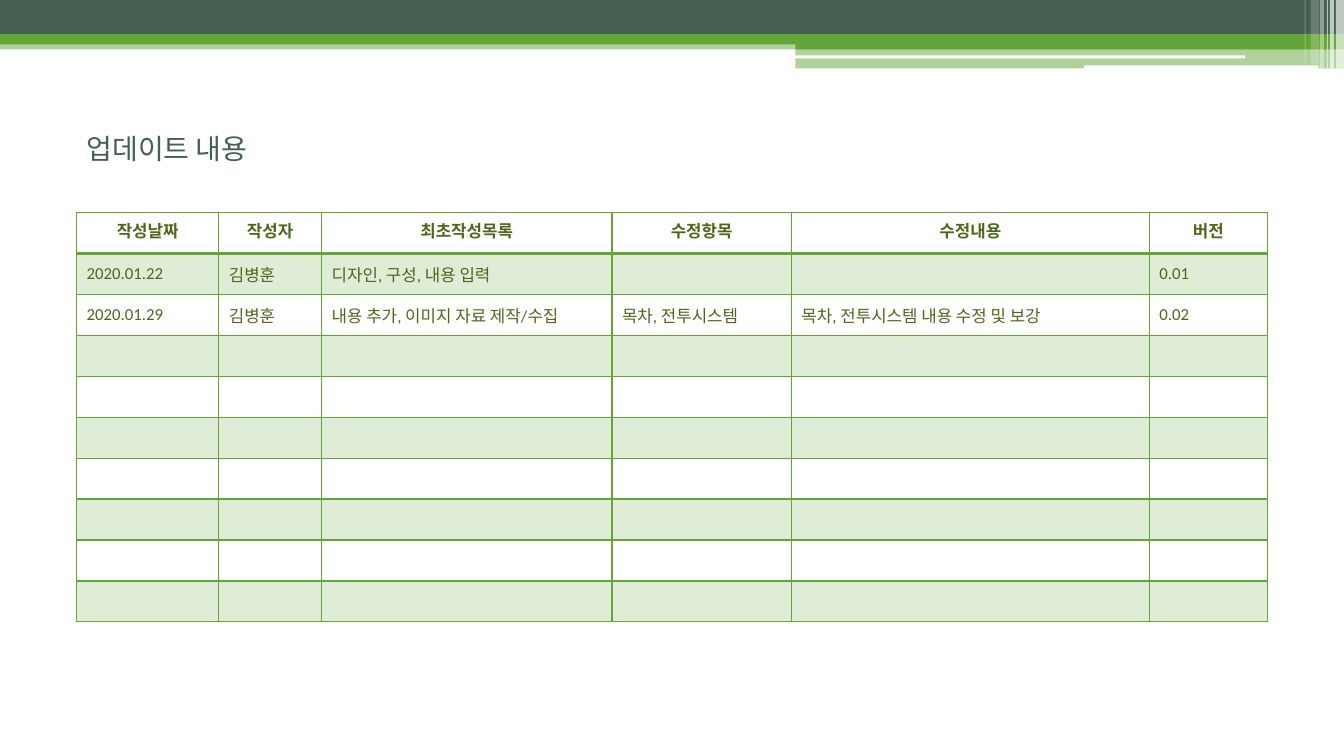
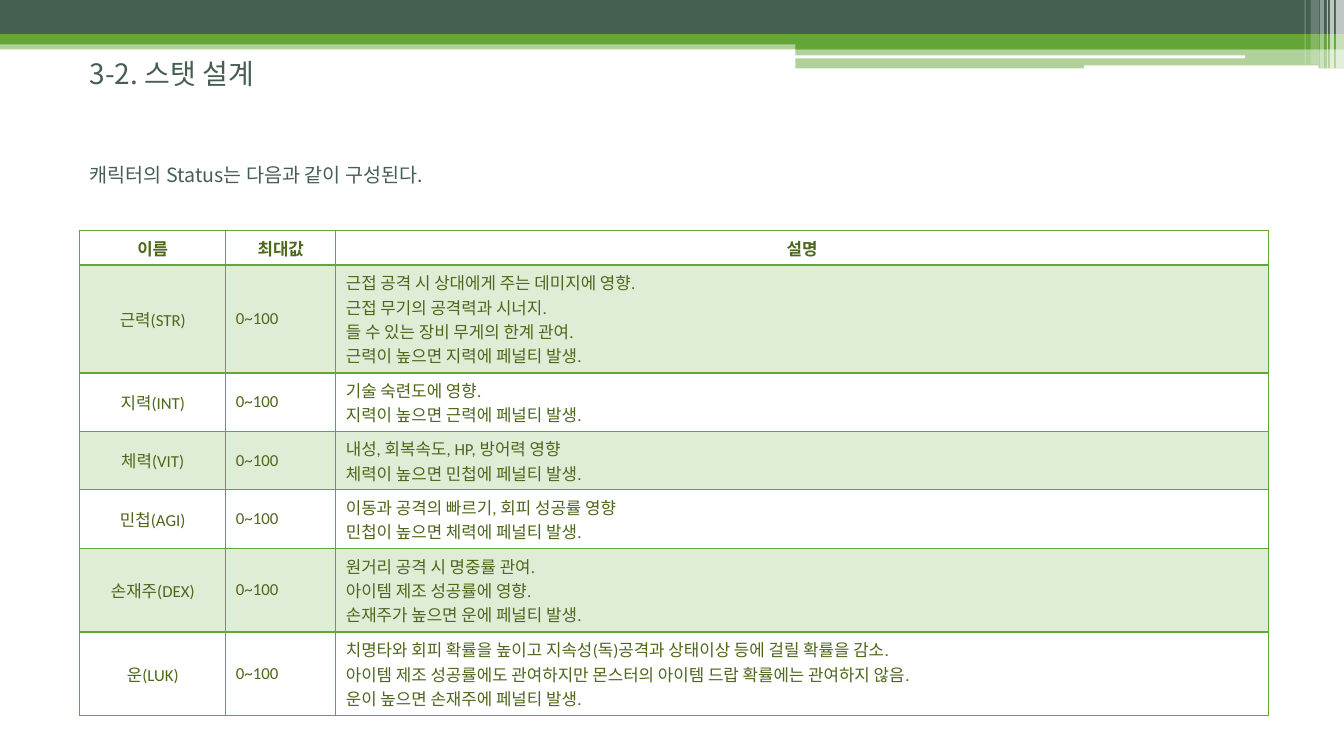
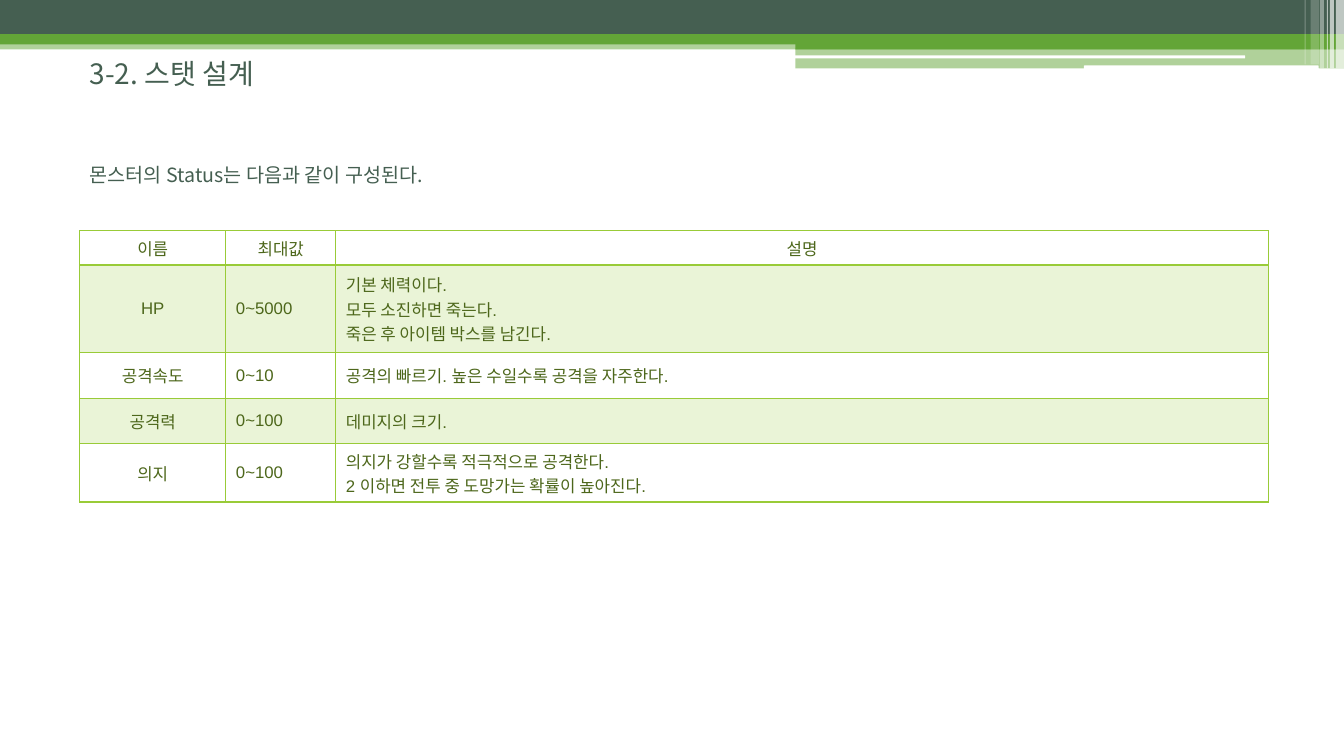
from dataclasses import dataclass

from lxml.etree import SubElement
from pptx import Presentation
from pptx.dml.color import RGBColor
from pptx.enum.shapes import MSO_SHAPE
from pptx.enum.text import MSO_ANCHOR, PP_ALIGN
from pptx.oxml import parse_xml
from pptx.oxml.ns import nsdecls, qn
from pptx.util import Inches, Pt


@dataclass(frozen=True)
class Theme:
    dark: str = "455F51"
    green: str = "63A537"
    lime: str = "99CB38"
    text: str = "4D671B"
    white: str = "FFFFFF"
    font: str = "Noto Sans CJK KR"
    title: int = 20
    lead: int = 14
    cell: int = 12
    tint: int = 20
    thin: int = 1
    thick: int = 2


T = Theme()


@dataclass(frozen=True)
class Band:
    left: float
    top: float
    width: float
    height: float
    color: str
    alpha: int = 100
    kind: MSO_SHAPE = MSO_SHAPE.RECTANGLE


@dataclass(frozen=True)
class Grid:
    left: float
    top: float
    cols: list[float]
    heights: list[float]
    rows: list[list[str]]
    font: str = "Calibri"
    color: str = T.green
    bold: bool = True
    head: MSO_ANCHOR = MSO_ANCHOR.MIDDLE
    mid: int = 0  # number of centred leading columns


@dataclass(frozen=True)
class Page:
    title: str
    left: float
    top: float
    grid: Grid
    lead: str = ""


BANDS = [
    Band(0, 0.4, 13.33, 0.09, T.green, 50),
    Band(0, 0, 13.33, 0.34, T.dark),
    Band(0, 0.34, 13.33, 0.1, T.green),
    Band(7.89, 0.39, 5.44, 0.1, T.green),
    Band(7.89, 0.48, 5.44, 0.2, T.green, 50),
    Band(7.88, 0.55, 4.47, 0.03, T.white, kind=MSO_SHAPE.ROUNDED_RECTANGLE),
    Band(10.75, 0.65, 2.33, 0.04, T.white, kind=MSO_SHAPE.ROUNDED_RECTANGLE),
    # Pale stripes at the right edge
    Band(13.25, 0, 0.08, 0.68, T.white, 65),
    Band(13.19, 0, 0.04, 0.68, T.white, 65),
    Band(13.16, 0, 0.01, 0.68, T.white, 60),
    Band(13.09, 0, 0.04, 0.68, T.white, 40),
    Band(13, 0, 0.08, 0.64, T.white, 20),
    Band(12.94, 0, 0.01, 0.64, T.white, 30),
]


def paint(item, props, color: str, alpha: int = 100) -> None:
    """Fill a shape or cell, with opacity in percent."""
    item.fill.solid()
    item.fill.fore_color.rgb = RGBColor.from_string(color)
    if alpha < 100:
        for tone in props.iter(qn("a:srgbClr")):
            SubElement(tone, qn("a:alpha")).set("val", str(alpha * 1000))


def style(par, font: str, size: int, color: str, bold: bool = False) -> None:
    par.font.name = font
    par.font.size = Pt(size)
    par.font.bold = bold
    par.font.color.rgb = RGBColor.from_string(color)
    # Korean letters take the East Asian font
    for base in par._p.iter(qn("a:defRPr")):
        SubElement(base, qn("a:ea")).set("typeface", T.font)


def add_band(slide, band: Band) -> None:
    shape = slide.shapes.add_shape(
        band.kind, Inches(band.left), Inches(band.top),
        Inches(band.width), Inches(band.height))
    shape.shadow.inherit = False
    shape.line.fill.background()
    paint(shape, shape._element.spPr, band.color, band.alpha)


def add_text(slide, text: str, left: float, top: float, height: float,
             size: int, anchor: MSO_ANCHOR) -> None:
    box = slide.shapes.add_textbox(
        Inches(left), Inches(top), Inches(11.8), Inches(height))
    frame = box.text_frame
    frame.word_wrap = True
    frame.vertical_anchor = anchor
    frame.text = text
    style(frame.paragraphs[0], T.font, size, T.dark)


def add_edges(props, color: str, above: int, below: int) -> None:
    """Draw cell borders; they stand before the fill in the cell's XML."""
    sides = {"L": T.thin, "R": T.thin, "T": above, "B": below}
    for spot, (side, width) in enumerate(sides.items()):
        props.insert(spot, parse_xml(
            f'<a:ln{side} {nsdecls("a")} w="{Pt(width)}"><a:solidFill>'
            f'<a:srgbClr val="{color}"/></a:solidFill></a:ln{side}>'))


def add_grid(slide, grid: Grid) -> None:
    table = slide.shapes.add_table(
        len(grid.heights), len(grid.cols), Inches(grid.left), Inches(grid.top),
        Inches(sum(grid.cols)), Inches(sum(grid.heights))).table
    table.first_row = table.horz_banding = False
    for col, width in zip(table.columns, grid.cols):
        col.width = Inches(width)
    for r, height in enumerate(grid.heights):
        table.rows[r].height = Inches(height)
        texts = grid.rows[r] if r < len(grid.rows) else [""] * len(grid.cols)
        for c, text in enumerate(texts):
            cell = table.cell(r, c)
            cell.vertical_anchor = MSO_ANCHOR.MIDDLE if r else grid.head
            if text:
                cell.text = text
                for par in cell.text_frame.paragraphs:
                    style(par, grid.font, T.cell, T.text, grid.bold and r == 0)
                    if r == 0 or c < grid.mid:
                        par.alignment = PP_ALIGN.CENTER
            props = cell._tc.get_or_add_tcPr()
            if r % 2:
                paint(cell, props, grid.color, T.tint)
            else:
                cell.fill.background()
            add_edges(props, grid.color, T.thick if r == 1 else T.thin,
                      T.thick if r == 0 else T.thin)


# Tables
LOG = Grid(0.76, 2.11, [1.41, 1.02, 2.88, 1.78, 3.55, 1.17], [4.06 / 10] * 10, [
    ["작성날짜", "작성자", "최초작성목록", "수정항목", "수정내용", "버전"],
    ["2020.01.22", "김병훈", "디자인, 구성, 내용 입력", "", "", "0.01"],
    ["2020.01.29", "김병훈", "내용 추가, 이미지 자료 제작/수집",
     "목차, 전투시스템", "목차, 전투시스템 내용 수정 및 보강", "0.02"],
], head=MSO_ANCHOR.TOP)

HEAD = ["이름", "최대값", "설명"]
COLS = [1.45, 1.09, 9.25]

HERO = Grid(0.79, 2.29, COLS, [0.34, 1.07, 0.58, 0.58, 0.58, 0.83, 0.83], [
    HEAD,
    ["근력(STR)", "0~100",
     "근접 공격 시 상대에게 주는 데미지에 영향.\n근접 무기의 공격력과 시너지.\n"
     "들 수 있는 장비 무게의 한계 관여.\n근력이 높으면 지력에 페널티 발생."],
    ["지력(INT)", "0~100",
     "기술 숙련도에 영향.\n지력이 높으면 근력에 페널티 발생."],
    ["체력(VIT)", "0~100",
     "내성, 회복속도, HP, 방어력 영향\n체력이 높으면 민첩에 페널티 발생."],
    ["민첩(AGI)", "0~100",
     "이동과 공격의 빠르기, 회피 성공률 영향\n민첩이 높으면 체력에 페널티 발생."],
    ["손재주(DEX)", "0~100",
     "원거리 공격 시 명중률 관여.\n아이템 제조 성공률에 영향.\n"
     "손재주가 높으면 운에 페널티 발생."],
    ["운(LUK)", "0~100",
     "치명타와 회피 확률을 높이고 지속성(독)공격과 상태이상 등에 걸릴 확률을 감소.\n"
     "아이템 제조 성공률에도 관여하지만 몬스터의 아이템 드랍 확률에는 관여하지 않음.\n"
     "운이 높으면 손재주에 페널티 발생."],
], mid=1)

FOE = Grid(0.79, 2.29, COLS, [0.34, 0.87, 0.45, 0.45, 0.58], [
    HEAD,
    ["HP", "0~5000",
     "기본 체력이다.\n모두 소진하면 죽는다.\n죽은 후 아이템 박스를 남긴다."],
    ["공격속도", "0~10", "공격의 빠르기. 높은 수일수록 공격을 자주한다."],
    ["공격력", "0~100", "데미지의 크기."],
    ["의지", "0~100",
     "의지가 강할수록 적극적으로 공격한다.\n"
     "2 이하면 전투 중 도망가는 확률이 높아진다."],
], font="Arial", color=T.lime, bold=False, mid=1)

STATS = "3-2. 스탯 설계"
PAGES = [
    Page("업데이트 내용", 0.76, 1.25, LOG),
    Page(STATS, 0.79, 0.51, HERO, "캐릭터의 Status는 다음과 같이 구성된다."),
    Page(STATS, 0.79, 0.51, FOE, "몬스터의 Status는 다음과 같이 구성된다."),
]


def main() -> None:
    deck = Presentation()
    deck.slide_width, deck.slide_height = Inches(13.33), Inches(7.5)
    for page in PAGES:
        slide = deck.slides.add_slide(deck.slide_layouts[6])
        for band in BANDS:
            add_band(slide, band)
        add_text(slide, page.title, page.left, page.top, 0.44,
                 T.title, MSO_ANCHOR.MIDDLE)
        add_grid(slide, page.grid)
        if page.lead:
            add_text(slide, page.lead, page.left, 1.57, 0.53,
                     T.lead, MSO_ANCHOR.TOP)
    deck.save("out.pptx")


if __name__ == "__main__":
    main()
